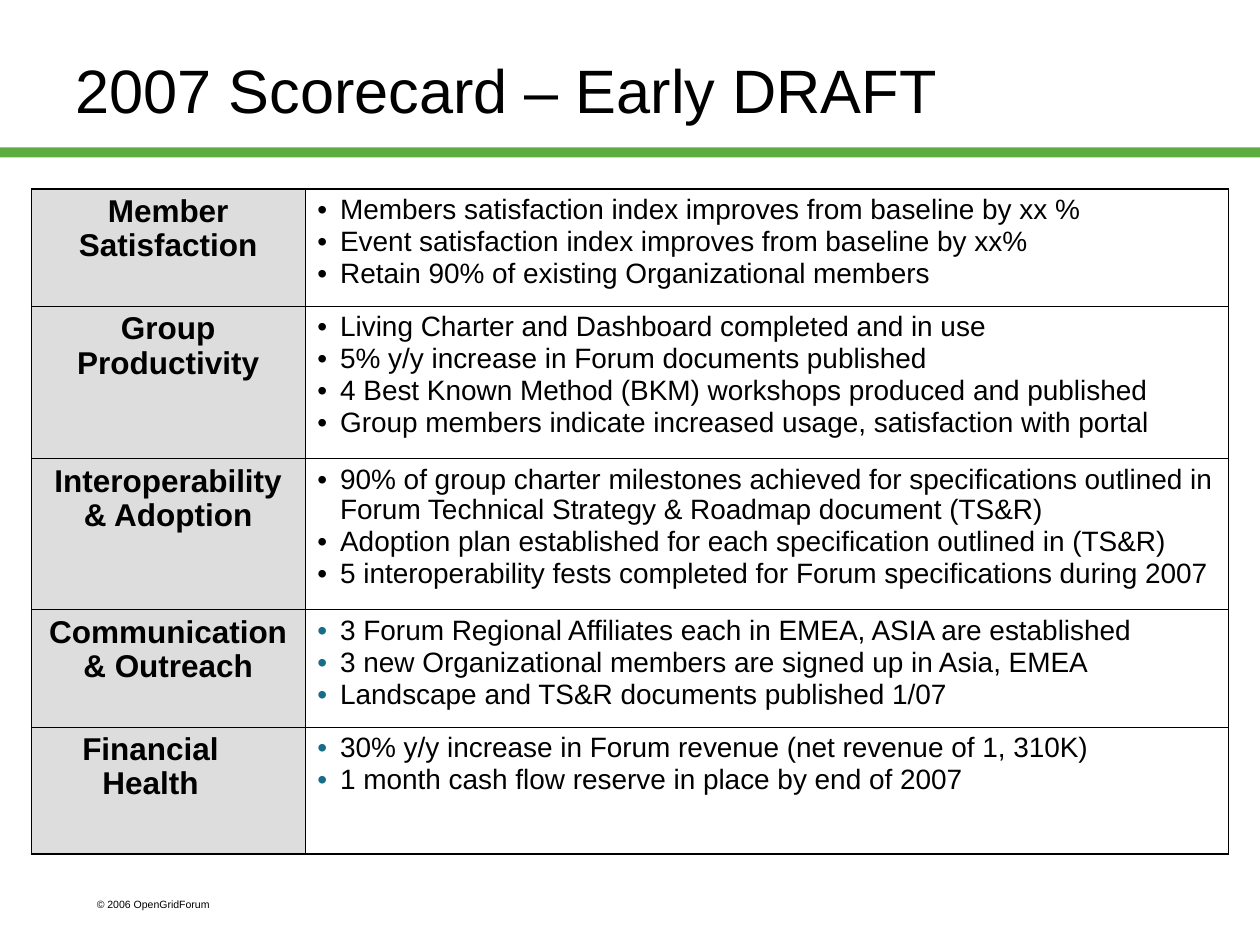
from lxml.etree import SubElement
from pptx import Presentation
from pptx.dml.color import RGBColor
from pptx.enum.shapes import MSO_SHAPE as Shape
from pptx.enum.text import MSO_ANCHOR as Anchor, PP_ALIGN as Align
from pptx.oxml.ns import qn
from pptx.util import Inches, Pt

COLORS = {
    "text": "000000",
    "band": "5DAD41",
    "label": "DDDDDD",
    "border": "000000",
    "accent": "176D89",
}
FONT = "Arial"
THIN, THICK = 0.45, 1.08
COLUMN_WIDTHS = [2.17, 7.33]

SCORECARD = [
    (0.93, ["Member Satisfaction"], "text", [
        "Members satisfaction index improves from baseline by xx %",
        "Event satisfaction index improves from baseline by xx%",
        "Retain 90% of existing Organizational members",
    ]),
    (1.21, ["Group Productivity"], "text", [
        "Living Charter and Dashboard completed and in use",
        "5% y/y increase in Forum documents published",
        "4 Best Known Method (BKM) workshops produced and published",
        "Group members indicate increased usage, satisfaction with portal",
    ]),
    (1.2, ["Interoperability & Adoption"], "text", [
        "90% of group charter milestones achieved for specifications outlined in "
        "Forum Technical Strategy & Roadmap document (TS&R)",
        "Adoption plan established for each specification outlined in (TS&R)",
        "5 interoperability fests completed for Forum specifications during 2007",
    ]),
    (0.93, ["Communication & Outreach"], "accent", [
        "3 Forum Regional Affiliates each in EMEA, ASIA are established",
        "3 new Organizational members are signed up in Asia, EMEA",
        "Landscape and TS&R documents published 1/07",
    ]),
    (1.01, ["Financial", "Health"], "accent", [
        "30% y/y increase in Forum revenue (net revenue of 1, 310K)",
        "1 month cash flow reserve in place by end of 2007",
    ]),
]


def rgb(name):
    return RGBColor.from_string(COLORS[name])


def add_bullet(paragraph, color):
    properties = paragraph._p.get_or_add_pPr()
    properties.set("marL", str(Inches(0.18)))
    properties.set("indent", str(Inches(-0.18)))
    bullet_color = SubElement(properties, qn("a:buClr"))
    SubElement(bullet_color, qn("a:srgbClr"), val=COLORS[color])
    SubElement(properties, qn("a:buFont"), typeface=FONT)
    SubElement(properties, qn("a:buChar"), char="•")


def write(frame, lines, size, bold=False, align=Align.LEFT, bullet=None,
          gap=0, spacing=None):
    frame.word_wrap = True
    for index, line in enumerate(lines):
        paragraph = frame.add_paragraph() if index else frame.paragraphs[0]
        if bullet:
            add_bullet(paragraph, bullet)
        paragraph.alignment = align
        if spacing:
            paragraph.line_spacing = spacing
        if index and gap:
            paragraph.space_before = Pt(gap)
        run = paragraph.add_run()
        run.text = line
        run.font.name = FONT
        run.font.size = Pt(size)
        run.font.bold = bold
        run.font.color.rgb = rgb("text")


def set_borders(cell, **widths):
    properties = cell._tc.get_or_add_tcPr()
    for side in ("L", "R", "T", "B"):
        line = SubElement(properties, qn(f"a:ln{side}"), w=str(Pt(widths[side])))
        fill = SubElement(line, qn("a:solidFill"))
        SubElement(fill, qn("a:srgbClr"), val=COLORS["border"])


def add_band(slide, left, top, width, height):
    band = slide.shapes.add_shape(Shape.RECTANGLE, left, top, width, height)
    band.shadow.inherit = False
    band.fill.solid()
    band.fill.fore_color.rgb = rgb("band")
    band.line.fill.background()


def add_text(slide, left, top, width, height, text, size, anchor=Anchor.TOP):
    frame = slide.shapes.add_textbox(left, top, width, height).text_frame
    frame.vertical_anchor = anchor
    write(frame, [text], size)


def add_scorecard(slide, left, top, width, height):
    scorecard = slide.shapes.add_table(
        len(SCORECARD), len(COLUMN_WIDTHS), left, top, width, height).table
    scorecard.first_row = False
    scorecard.horz_banding = False
    for column, column_width in zip(scorecard.columns, COLUMN_WIDTHS):
        column.width = Inches(column_width)

    last = len(SCORECARD) - 1
    for index, (row_height, label, bullet, goals) in enumerate(SCORECARD):
        scorecard.rows[index].height = Inches(row_height)
        label_cell, goals_cell = scorecard.rows[index].cells
        edges = {"T": THIN if index else THICK,
                 "B": THICK if index == last else THIN}
        set_borders(label_cell, L=THICK, R=THIN, **edges)
        set_borders(goals_cell, L=THIN, R=THICK, **edges)
        label_cell.fill.solid()
        label_cell.fill.fore_color.rgb = rgb("label")
        goals_cell.fill.background()
        write(label_cell.text_frame, label, 18, bold=True,
              align=Align.CENTER, spacing=0.97)
        write(goals_cell.text_frame, goals, 16, bullet=bullet, gap=1,
              spacing=0.97)
        if len(label) > 1:
            first_line = label_cell.text_frame.paragraphs[0]
            first_line._p.get_or_add_pPr().set("marR", str(Inches(0.28)))


def main():
    deck = Presentation()
    deck.slide_width = Inches(10)
    deck.slide_height = Inches(7.5)
    slide = deck.slides.add_slide(deck.slide_layouts[6])
    add_band(slide, 0, Inches(1.17), deck.slide_width, Inches(0.08))
    add_text(slide, Inches(0.67), Inches(7.08), Inches(1.5), Inches(0.2),
             "© 2006 OpenGridForum", 6)
    add_text(slide, Inches(0.5), Inches(0.17), Inches(7.17), Inches(1.08),
             "2007 Scorecard – Early DRAFT", 35, anchor=Anchor.MIDDLE)
    add_scorecard(slide, Inches(0.25), Inches(1.5), Inches(9.5), Inches(5.28))
    deck.save("out.pptx")


if __name__ == "__main__":
    main()
